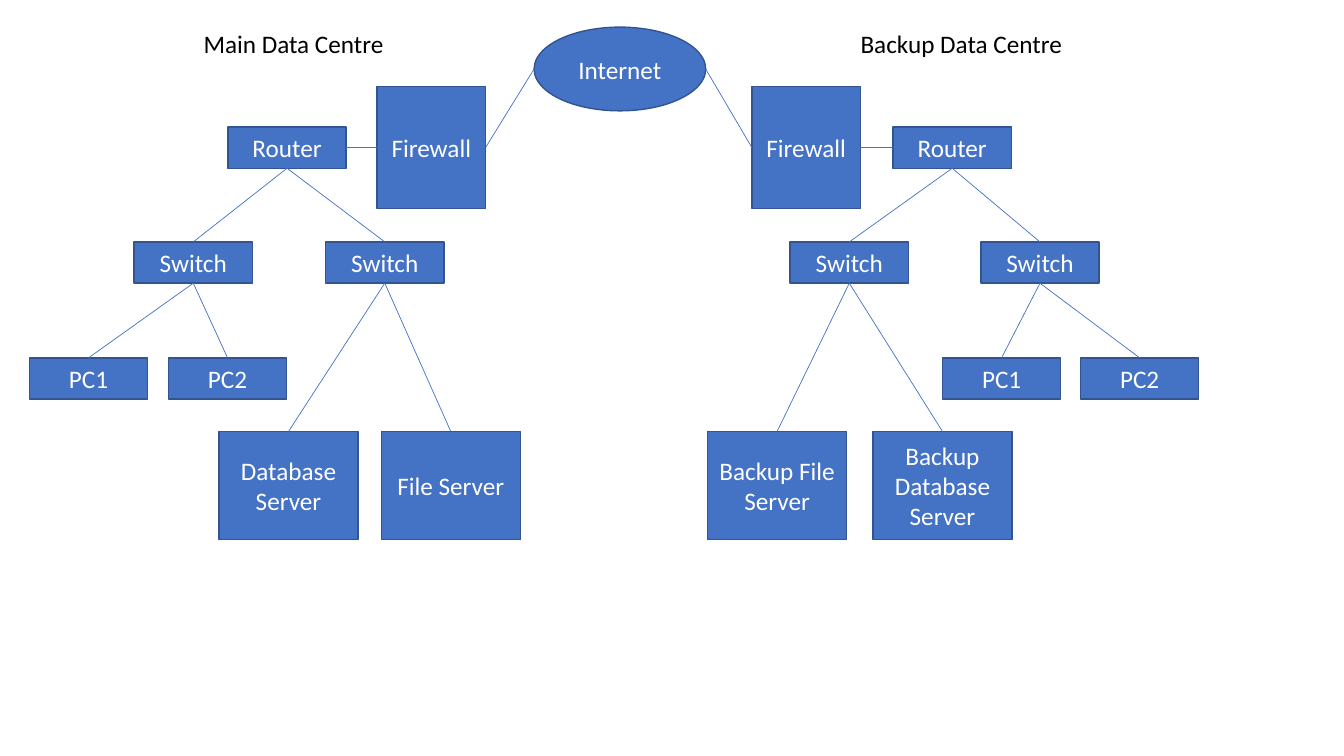
from lxml import etree
from pptx import Presentation
from pptx.dml.color import RGBColor
from pptx.enum import shapes, text
from pptx.oxml import ns
from pptx.util import Pt

BLUE, EDGE, WHITE, BLACK = "4472C4", "325491", "FFFFFF", "000000"
TOP, LEFT, BOTTOM, RIGHT = (0.5, 0), (0, 0.5), (0.5, 1), (1, 0.5)
DEVICE, FIREWALL, SERVER = (84.5, 29.5), (77.4, 87.1), (99.4, 77)
ROUTER_Y, FIREWALL_Y, SWITCH_Y, PC_Y, SERVER_Y = 74.1, 45.3, 156.2, 239, 291.6


def colour(hex_string):
    """Return the colour for a hex string."""
    return RGBColor.from_string(hex_string)


def write(frame, words, ink):
    """Put words in a text frame in the slide's type style."""
    frame.text = words
    font = frame.paragraphs[0].runs[0].font
    font.name, font.size = "Calibri", Pt(18)
    font.color.rgb = colour(ink)


def add_node(slide, words, x, y, size, outline=shapes.MSO_SHAPE.RECTANGLE):
    """Add one labelled network device."""
    node = slide.shapes.add_shape(outline, Pt(x), Pt(y), Pt(size[0]), Pt(size[1]))
    node.shadow.inherit = False
    node.fill.solid()
    node.fill.fore_color.rgb = colour(BLUE)
    node.line.color.rgb = colour(EDGE)
    node.line.width = Pt(1)
    frame = node.text_frame
    frame.word_wrap = True
    frame.vertical_anchor = text.MSO_ANCHOR.MIDDLE
    write(frame, words, WHITE)
    frame.paragraphs[0].alignment = text.PP_ALIGN.CENTER
    return node


def edge_point(node, side):
    """Return the middle of one side of a device."""
    across, down = side
    return int(node.left + across * node.width), int(node.top + down * node.height)


def link(slide, start, start_side, end, end_side):
    """Join the sides of two devices with a thin line."""
    cable = slide.shapes.add_connector(
        shapes.MSO_CONNECTOR.STRAIGHT,
        *edge_point(start, start_side), *edge_point(end, end_side))
    cable.line.color.rgb = colour(BLUE)
    cable.line.width = Pt(0.5)
    etree.SubElement(cable._element.spPr, ns.qn("a:effectLst"))


def add_heading(slide, words, x, y, width):
    """Add the name of a data centre."""
    heading = slide.shapes.add_textbox(Pt(x), Pt(y), Pt(width), Pt(29))
    heading.text_frame.word_wrap = False
    heading.text_frame.auto_size = text.MSO_AUTO_SIZE.SHAPE_TO_FIT_TEXT
    write(heading.text_frame, words, BLACK)


def add_centre(slide, left, top, heading, router_x, firewall_x, switches):
    """Draw a data centre from its top-left corner and return its firewall."""
    words, heading_x, heading_width = heading
    add_heading(slide, words, left + heading_x, top, heading_width)
    router = add_node(slide, "Router", left + router_x, top + ROUTER_Y, DEVICE)
    firewall = add_node(slide, "Firewall", left + firewall_x, top + FIREWALL_Y, FIREWALL)
    if router_x < firewall_x:
        link(slide, router, RIGHT, firewall, LEFT)
    else:
        link(slide, router, LEFT, firewall, RIGHT)
    for switch_x, row_y, size, machines in switches:
        switch = add_node(slide, "Switch", left + switch_x, top + SWITCH_Y, DEVICE)
        link(slide, router, BOTTOM, switch, TOP)
        for name, machine_x in machines:
            machine = add_node(slide, name, left + machine_x, top + row_y, size)
            link(slide, switch, BOTTOM, machine, TOP)
    return firewall


def add_network(slide):
    """Draw both data centres and join them through the internet."""
    main_firewall = add_centre(
        slide, 21, 16.6, ("Main Data Centre", 117.3, 144.7), 141.8, 248.4,
        [(74.8, PC_Y, DEVICE, [("PC1", 0), ("PC2", 99.3)]),
         (211.6, SERVER_Y, SERVER, [("Database Server", 135.4), ("File Server", 251.3)])])
    backup_firewall = add_centre(
        slide, 505.4, 16.6, ("Backup Data Centre", 102.2, 159.8), 132.5, 31.7,
        [(59, SERVER_Y, SERVER, [("Backup File Server", 0), ("Backup Database Server", 118.1)]),
         (195.2, PC_Y, DEVICE, [("PC1", 167.8), ("PC2", 266.4)])])
    internet = add_node(slide, "Internet", 381.5, 19.4, (122.6, 59.8), shapes.MSO_SHAPE.OVAL)
    link(slide, main_firewall, RIGHT, internet, LEFT)
    link(slide, backup_firewall, LEFT, internet, RIGHT)


def main():
    """Build and save the slide."""
    deck = Presentation()
    deck.slide_width, deck.slide_height = Pt(960), Pt(540)
    add_network(deck.slides.add_slide(deck.slide_layouts[6]))
    deck.save("out.pptx")


if __name__ == "__main__":
    main()
